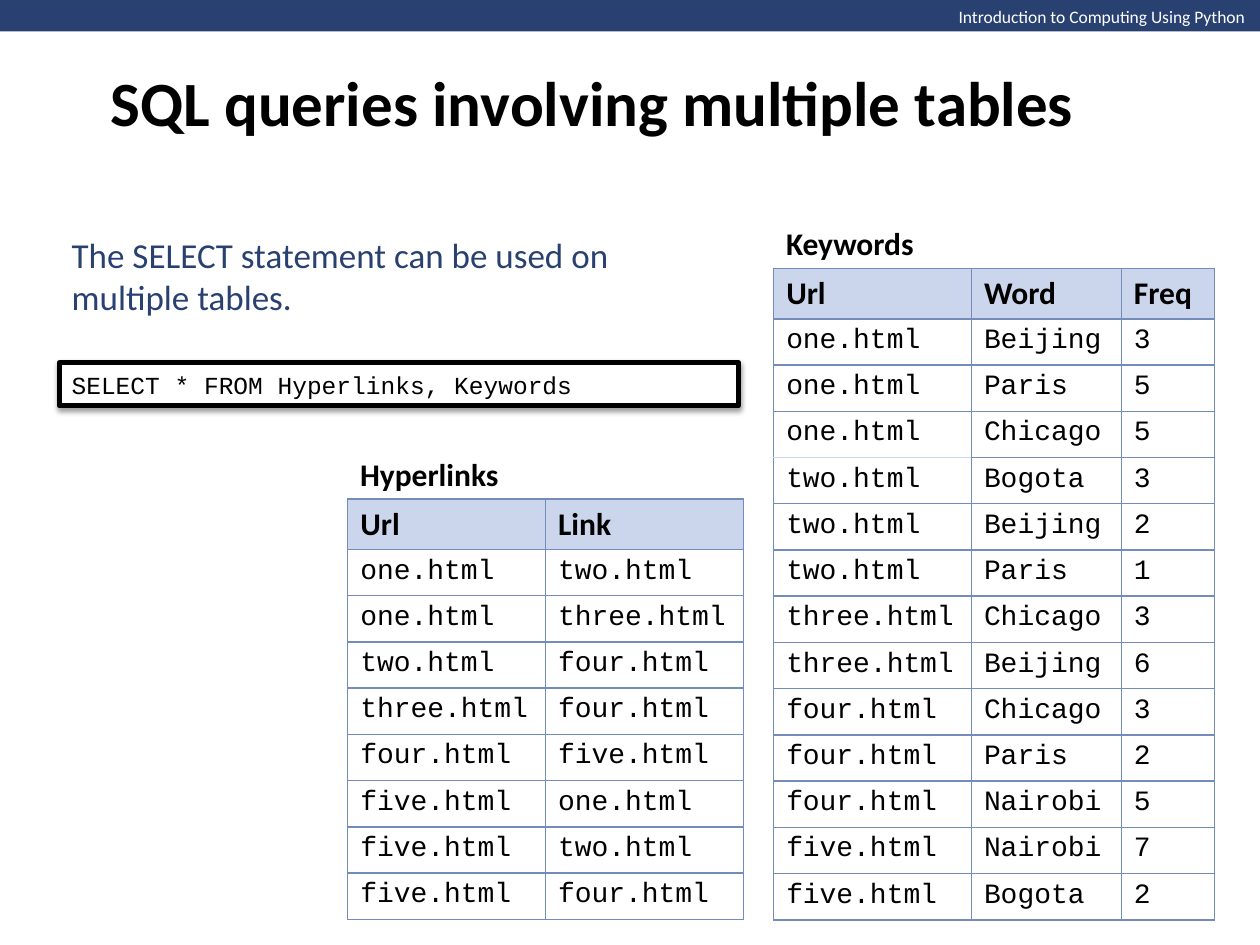
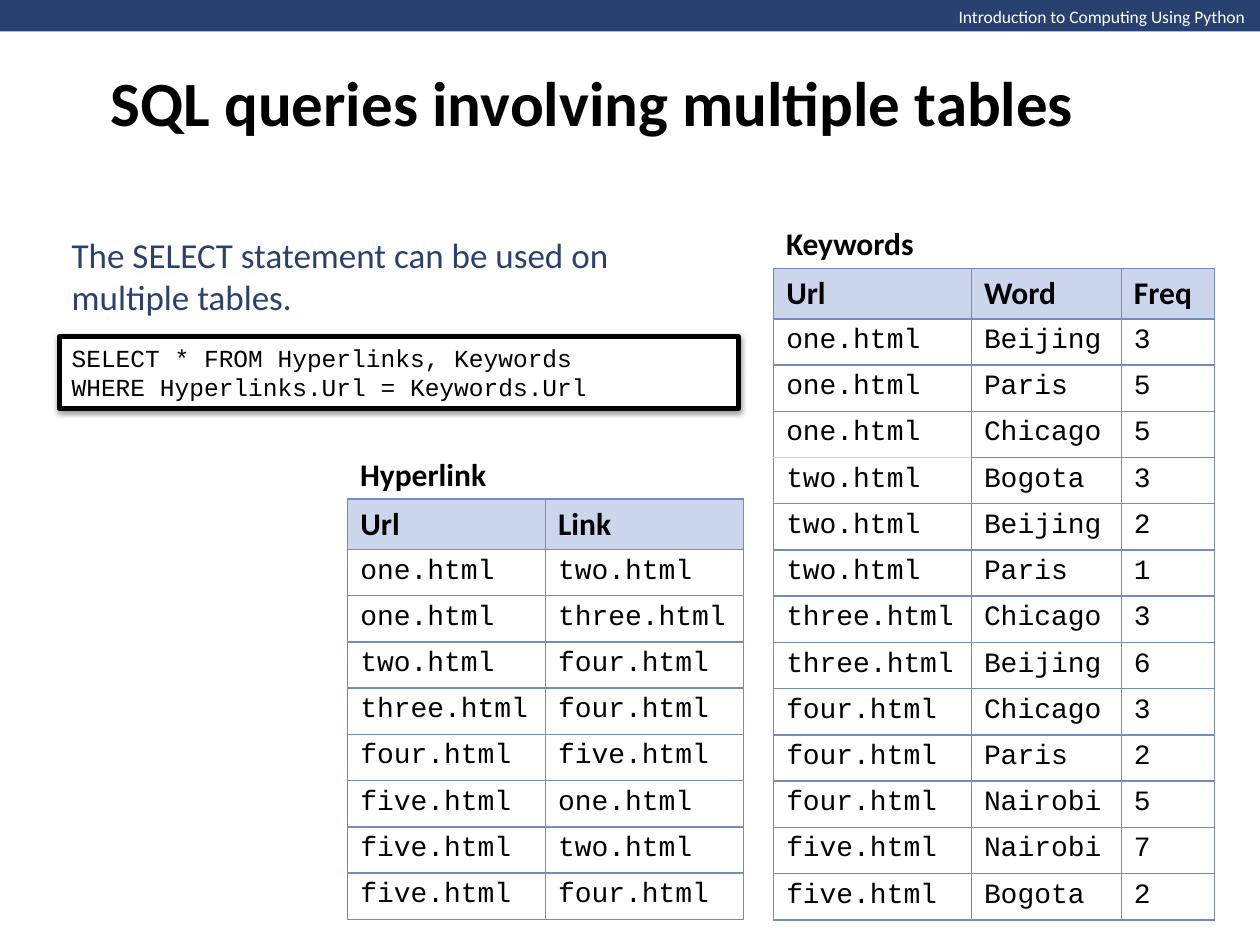
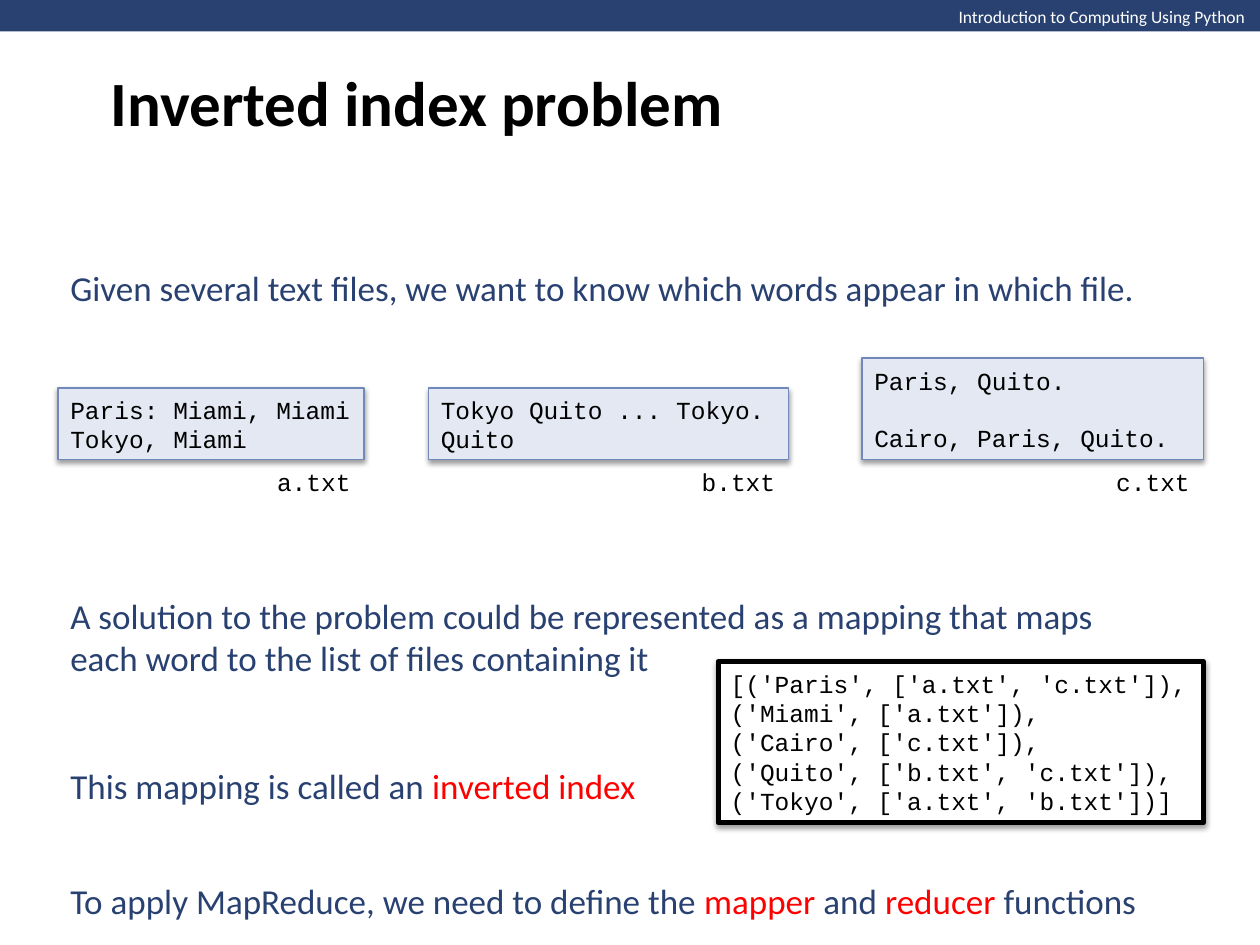
from dataclasses import dataclass

import pptx
import pptx.dml.color
import pptx.enum.shapes
import pptx.enum.text
import pptx.oxml
import pptx.oxml.ns
import pptx.util
from pptx.util import Inches

MIDDLE = pptx.enum.text.MSO_ANCHOR.MIDDLE
TOP = pptx.enum.text.MSO_ANCHOR.TOP


@dataclass(frozen=True)
class Style:
    size: float
    font: str
    colour: str
    bold: bool = False


@dataclass(frozen=True)
class Theme:
    navy: str = "294171"
    white: str = "FFFFFF"
    black: str = "000000"
    red: str = "FF0000"
    header_fill: str = "CBD6EC"
    grid: str = "748CBC"
    card_fill: str = "E3E8F2"
    card_line: str = "7088BA"
    band: Style = Style(10, "Calibri", "FFFFFF")
    title: Style = Style(36, "Calibri", "000000", True)
    heading: Style = Style(18, "Calibri", "000000", True)
    body: Style = Style(20, "Calibri", "294171")
    code: Style = Style(14, "Courier New", "000000")
    cell: Style = Style(16, "Courier New", "000000")


THEME = Theme()

HYPERLINKS = [
    ("Url", "Link"),
    ("one.html", "two.html"),
    ("one.html", "three.html"),
    ("two.html", "four.html"),
    ("three.html", "four.html"),
    ("four.html", "five.html"),
    ("five.html", "one.html"),
    ("five.html", "two.html"),
    ("five.html", "four.html"),
]
KEYWORDS = [
    ("Url", "Word", "Freq"),
    ("one.html", "Beijing", "3"),
    ("one.html", "Paris", "5"),
    ("one.html", "Chicago", "5"),
    ("two.html", "Bogota", "3"),
    ("two.html", "Beijing", "2"),
    ("two.html", "Paris", "1"),
    ("three.html", "Chicago", "3"),
    ("three.html", "Beijing", "6"),
    ("four.html", "Chicago", "3"),
    ("four.html", "Paris", "2"),
    ("four.html", "Nairobi", "5"),
    ("five.html", "Nairobi", "7"),
    ("five.html", "Bogota", "2"),
]
INVERTED_INDEX = [
    "[('Paris', ['a.txt', 'c.txt']),",
    "('Miami', ['a.txt']),",
    "('Cairo', ['c.txt']),",
    "('Quito', ['b.txt', 'c.txt']),",
    "('Tokyo', ['a.txt', 'b.txt'])]",
]


def rgb(colour):
    return pptx.dml.color.RGBColor.from_string(colour)


def write(frame, paragraphs, style, anchor=MIDDLE, wrap=True, gap=0):
    """Fill a text frame; a paragraph is a string or a list of (text, colour) runs."""
    frame.word_wrap = wrap
    frame.vertical_anchor = anchor
    for index, content in enumerate(paragraphs):
        para = frame.paragraphs[0] if index == 0 else frame.add_paragraph()
        para.alignment = pptx.enum.text.PP_ALIGN.LEFT
        if index and gap:
            para.space_before = pptx.util.Pt(gap)
        para.font.size = pptx.util.Pt(style.size)
        para.font.name = style.font
        para.font.bold = style.bold
        para.font.color.rgb = rgb(style.colour)
        spans = [(content, None)] if isinstance(content, str) else content
        for text, colour in spans:
            span = para.add_run()
            span.text = text
            if colour:
                span.font.color.rgb = rgb(colour)


def add_text(page, box, paragraphs, style, **options):
    label = page.shapes.add_textbox(*map(Inches, box))
    write(label.text_frame, paragraphs, style, **options)


def add_rectangle(page, box, fill):
    rectangle = page.shapes.add_shape(
        pptx.enum.shapes.MSO_SHAPE.RECTANGLE, *map(Inches, box))
    rectangle.shadow.inherit = False
    rectangle.fill.solid()
    rectangle.fill.fore_color.rgb = rgb(fill)
    rectangle.line.fill.background()
    return rectangle


def add_soft_shadow(shape):
    effects = shape._element.spPr.find(pptx.oxml.ns.qn("a:effectLst"))
    effects.append(pptx.oxml.parse_xml(
        f'<a:outerShdw {pptx.oxml.ns.nsdecls("a")} blurRad="{pptx.util.Pt(3.1)}" '
        f'dist="{pptx.util.Pt(1.6)}" dir="5400000" rotWithShape="0">'
        f'<a:srgbClr val="{THEME.black}"><a:alpha val="38000"/></a:srgbClr>'
        '</a:outerShdw>'))


def add_code(page, box, lines, fill=THEME.white, line=THEME.black, width=3, gap=0):
    panel = add_rectangle(page, box, fill)
    panel.line.color.rgb = rgb(line)
    panel.line.width = pptx.util.Pt(width)
    add_soft_shadow(panel)
    write(panel.text_frame, lines, THEME.code, gap=gap)


def set_borders(cell, faint_side):
    properties = cell._tc.get_or_add_tcPr()
    for side in "LRTB":
        colour = THEME.header_fill if side == faint_side else THEME.grid
        properties.append(pptx.oxml.parse_xml(
            f'<a:ln{side} {pptx.oxml.ns.nsdecls("a")} w="{pptx.util.Pt(1)}">'
            f'<a:solidFill><a:srgbClr val="{colour}"/></a:solidFill></a:ln{side}>'))


def add_data_table(page, box, name, rows, widths, faint_after=None):
    """Put a named table in box; faint_after is the row whose first cell has a pale lower edge."""
    left, top, width, height = box
    heading_height, header_height = 0.4, 0.4
    add_text(page, (left, top - heading_height, 1.3, heading_height), [name],
             THEME.heading, wrap=False)
    table = page.shapes.add_table(len(rows), len(widths), *map(Inches, box)).table
    table.horz_banding = False
    for column, column_width in zip(table.columns, widths):
        column.width = Inches(column_width)
    row_height = (height - header_height) / (len(rows) - 1)
    for row_index, values in enumerate(rows):
        is_header = row_index == 0
        table.rows[row_index].height = Inches(header_height if is_header else row_height)
        for column_index, value in enumerate(values):
            cell = table.cell(row_index, column_index)
            faint_side = None
            if faint_after and column_index == 0:
                faint_side = {faint_after: "B", faint_after + 1: "T"}.get(row_index)
            set_borders(cell, faint_side)
            cell.fill.solid()
            cell.fill.fore_color.rgb = rgb(THEME.header_fill if is_header else THEME.white)
            write(cell.text_frame, [value], THEME.heading if is_header else THEME.cell,
                  anchor=TOP)


def add_page(deck, title):
    page = deck.slides.add_slide(deck.slide_layouts[6])
    add_rectangle(page, (0, 0, 10, 0.25), THEME.navy)
    add_text(page, (7.51, 0, 2.5, 0.27), ["Introduction to Computing Using Python"],
             THEME.band, anchor=TOP, wrap=False)
    add_text(page, (0.78, 0, 8.5, 1.61), [title], THEME.title)
    return page


def add_query_page(deck, links_name, query, query_top, query_height):
    page = add_page(deck, "SQL queries involving multiple tables")
    add_data_table(page, (2.76, 3.96, 3.14, 3.33), links_name, HYPERLINKS, (1.57, 1.57))
    add_data_table(page, (6.14, 2.13, 3.5, 5.17), "Keywords", KEYWORDS,
                   (1.57, 1.19, 0.74), faint_after=3)
    left, width = 0.47, 5.39
    add_text(page, (left, 1.8, width, 0.77),
             ["The SELECT statement can be used on multiple tables."], THEME.body)
    add_code(page, (left, query_top, width, query_height), query)


def add_file_card(page, box, name, lines, gap=0):
    left, top, width, height = box
    label_width = 0.79
    add_code(page, box, lines, THEME.card_fill, THEME.card_line, 0.75, gap)
    add_text(page, (left + width - label_width, top + height, label_width, 0.34),
             [name], THEME.code, wrap=False)


def add_index_page(deck):
    page = add_page(deck, "Inverted index problem")
    left, width = 0.46, 8.82
    add_text(page, (left, 2.06, width, 0.44),
             ["Given several text files, we want to know which words appear in which file."],
             THEME.body)
    add_text(page, (left, 4.67, width, 1.78), [
        "A solution to the problem could be represented as a mapping that maps "
        "each word to the list of files containing it",
        [("This mapping is called an ", None), ("inverted index", THEME.red)],
    ], THEME.body, gap=49)
    add_code(page, (5.7, 5.25, 3.85, 1.28), INVERTED_INDEX)

    add_file_card(page, (left, 3.08, 2.43, 0.57), "a.txt",
                  ["Paris: Miami, Miami", "Tokyo, Miami"])
    add_file_card(page, (3.4, 3.08, 2.86, 0.57), "b.txt",
                  ["Tokyo Quito ... Tokyo.", "Quito"])
    add_file_card(page, (6.84, 2.84, 2.71, 0.81), "c.txt",
                  ["Paris, Quito.", "Cairo, Paris, Quito."], gap=16)

    add_text(page, (left, 6.93, 8.77, 0.44), [[
        ("To apply MapReduce, we need to define the ", None),
        ("mapper ", THEME.red), ("and ", None),
        ("reducer ", THEME.red), ("functions", None),
    ]], THEME.body, wrap=False)


def main():
    deck = pptx.Presentation()
    deck.slide_width, deck.slide_height = Inches(10), Inches(7.5)
    select = "SELECT * FROM Hyperlinks, Keywords"
    where = "WHERE Hyperlinks.Url = Keywords.Url"
    add_query_page(deck, "Hyperlinks", [select], 2.88, 0.34)
    add_query_page(deck, "Hyperlink", [select, where], 2.67, 0.57)
    add_index_page(deck)
    deck.save("out.pptx")


if __name__ == "__main__":
    main()
